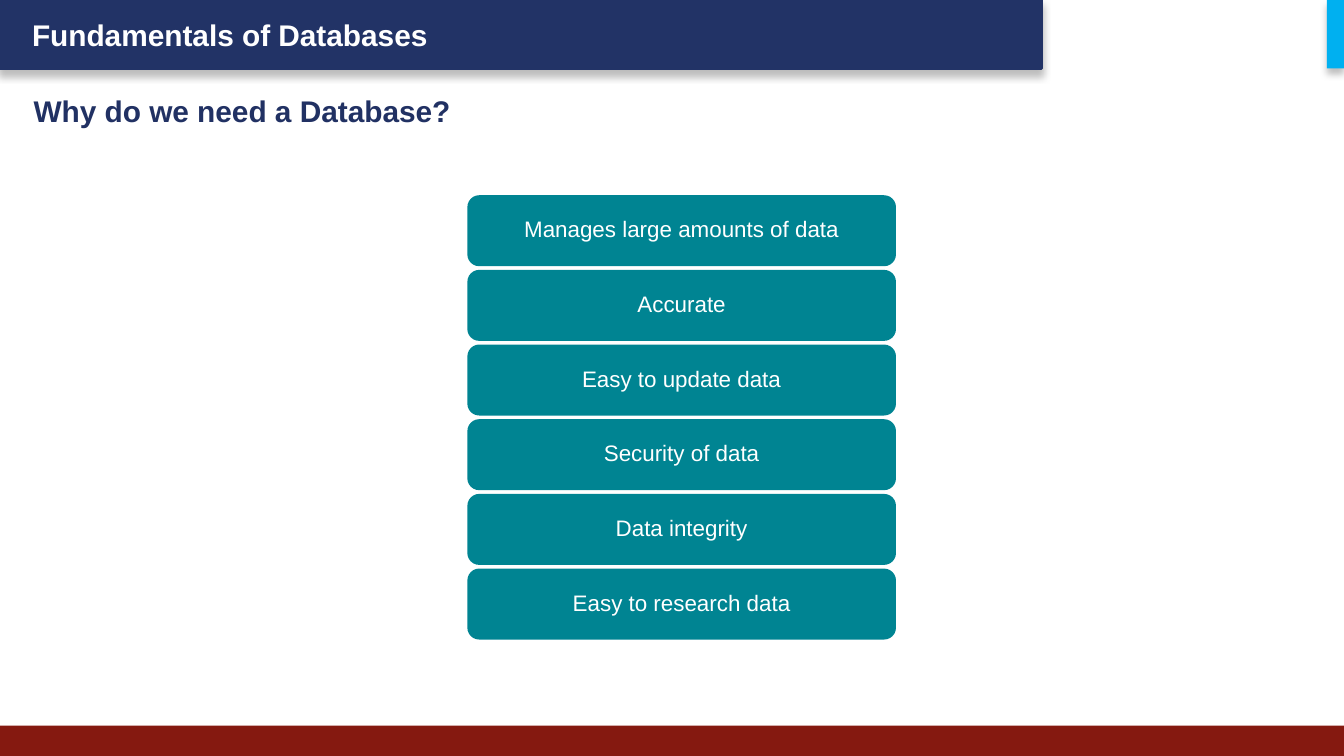
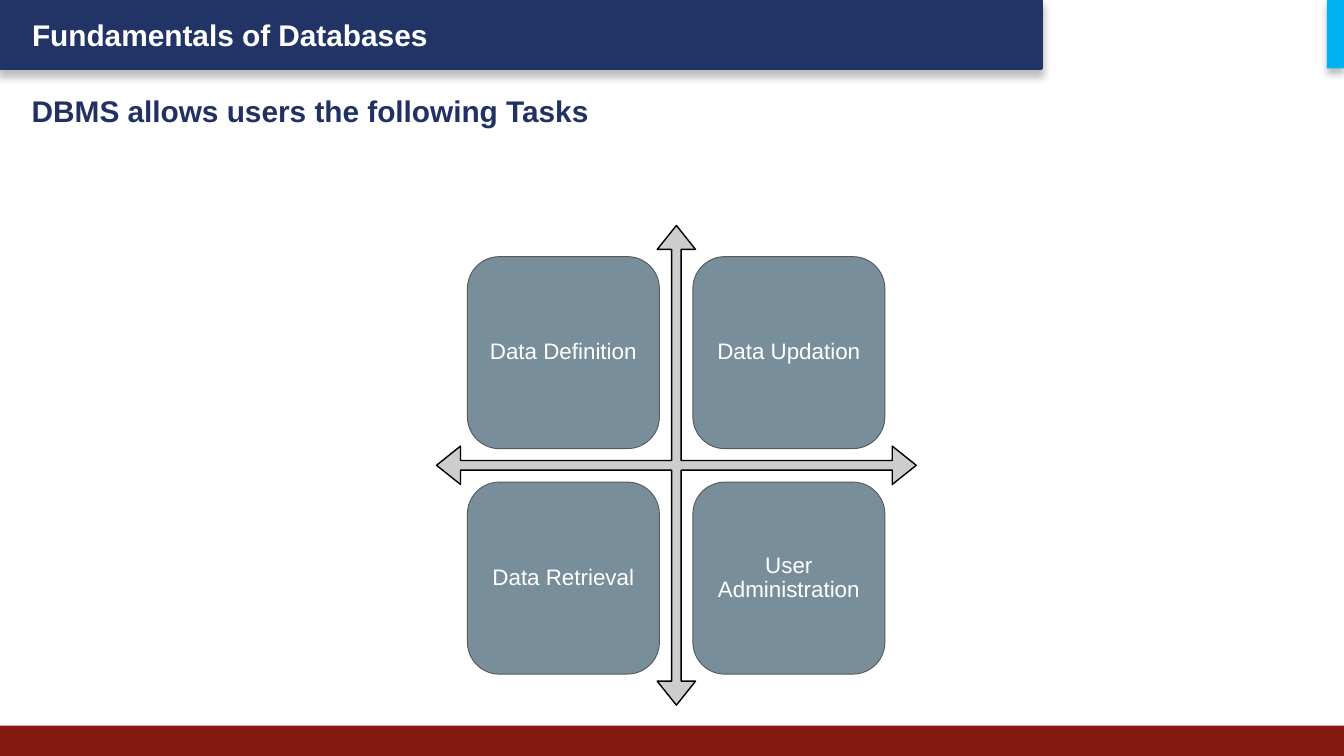
from dataclasses import dataclass

from lxml import etree
from pptx import Presentation
from pptx import util as u
from pptx.dml import color
from pptx.enum import shapes, text
from pptx.oxml import ns

Pt = u.Pt
SHAPE = shapes.MSO_SHAPE
COLORS = {
    "banner": "223366",
    "title": "213163",
    "footer": "851910",
    "accent": "00B0F0",
    "reason": "008492",
    "task": "788F9B",
    "task_line": "595959",
    "arrow": "CDCDCD",
    "black": "000000",
    "white": "FFFFFF",
}
HEADING = {"name": "Arial", "size": Pt(16), "bold": True}
BODY = {"name": "Arial", "size": Pt(12), "bold": False}
TITLE_FRAME = {
    "vertical_anchor": text.MSO_ANCHOR.TOP,
    "auto_size": text.MSO_AUTO_SIZE.NONE,
    "word_wrap": True,
}
CARD_FRAME = {
    "vertical_anchor": text.MSO_ANCHOR.MIDDLE,
    "word_wrap": True,
    "margin_left": Pt(3.6),
    "margin_right": Pt(3.6),
    "margin_top": Pt(3.6),
    "margin_bottom": Pt(3.6),
}
CARD_PARAGRAPH = {"alignment": text.PP_ALIGN.CENTER, "line_spacing": 0.9}


@dataclass(frozen=True)
class Box:
    """Position and size in points."""
    left: float
    top: float
    width: float
    height: float

    def lengths(self) -> list:
        return [Pt(v) for v in (self.left, self.top, self.width, self.height)]


@dataclass(frozen=True)
class Style:
    fill: str
    line: str | None = None
    line_width: float = 0
    shadow: bool = False


@dataclass(frozen=True)
class CardGrid:
    """Equal cards laid out row by row from the first one."""
    first: Box
    pitch: float
    columns: int
    style: Style
    labels: tuple[str, ...]


BANDS = (
    (Box(0, 0, 558, 36.7), Style("banner", "banner", 2, shadow=True)),
    (Box(0, 388.8, 720, 16.2), Style("footer")),
    (Box(710.8, 0, 9.2, 36.7), Style("accent", shadow=True)),
)
HEADER_BOX = Box(10.1, 5.3, 229, 26.6)
ARROW_BOX = Box(233.9, 120.8, 257, 257)
ARROW_ADJUSTMENTS = (0.02, 0.04, 0.05)

REASONS = CardGrid(
    Box(250.4, 104.6, 229.6, 38), 40, 1, Style("reason"),
    ("Manages large amounts of data", "Accurate", "Easy to update data",
     "Security of data", "Data integrity", "Easy to research data"),
)
TASKS = CardGrid(
    Box(250.4, 137.5, 102.9, 102.9), 120.8, 2, Style("task", "task_line", 0.5),
    ("Data Definition", "Data Updation", "Data Retrieval", "User Administration"),
)


def rgb(name: str) -> color.RGBColor:
    return color.RGBColor.from_string(COLORS[name])


def apply(target, values: dict) -> None:
    for name, value in values.items():
        setattr(target, name, value)


def write(tf, words: str, font: dict, color_name: str):
    p = tf.paragraphs[0]
    r = p.add_run()
    r.text = words
    apply(r.font, font)
    r.font.color.rgb = rgb(color_name)
    return p


def add_shadow(sp) -> None:
    effects = sp.element.spPr.find(ns.qn("a:effectLst"))
    shadow = etree.SubElement(
        effects, ns.qn("a:outerShdw"), blurRad=str(Pt(4)), dist=str(Pt(3)),
        dir="5400000", algn="t", rotWithShape="0")
    tint = etree.SubElement(shadow, ns.qn("a:srgbClr"), val=COLORS["black"])
    etree.SubElement(tint, ns.qn("a:alpha"), val="25000")


def add_shape(s, kind: SHAPE, box: Box, style: Style):
    sp = s.shapes.add_shape(kind, *box.lengths())
    sp.shadow.inherit = False
    sp.fill.solid()
    sp.fill.fore_color.rgb = rgb(style.fill)
    if style.line:
        sp.line.color.rgb = rgb(style.line)
        sp.line.width = Pt(style.line_width)
    else:
        sp.line.fill.background()
    if style.shadow:
        add_shadow(sp)
    return sp


def add_cards(s, grid: CardGrid) -> None:
    first = grid.first
    for i, label in enumerate(grid.labels):
        row, column = divmod(i, grid.columns)
        box = Box(first.left + column * grid.pitch, first.top + row * grid.pitch,
                  first.width, first.height)
        sp = add_shape(s, SHAPE.ROUNDED_RECTANGLE, box, grid.style)
        apply(sp.text_frame, CARD_FRAME)
        apply(write(sp.text_frame, label, BODY, "white"), CARD_PARAGRAPH)


def add_slide(prs, layout, title: str, box: Box):
    s = prs.slides.add_slide(layout)
    sp = s.shapes.title
    apply(sp, dict(zip(("left", "top", "width", "height"), box.lengths())))
    apply(sp.text_frame, TITLE_FRAME)
    p = write(sp.text_frame, title, HEADING, "title")
    p.alignment = text.PP_ALIGN.LEFT
    return s


def move_bands_to_layout(s, layout) -> None:
    """Draw the bands on a slide, then move them behind the layout's title."""
    for ph in list(layout.placeholders):
        if ph.placeholder_format.type != shapes.PP_PLACEHOLDER.TITLE:
            ph.element.getparent().remove(ph.element)
    parts = [add_shape(s, SHAPE.RECTANGLE, box, style) for box, style in BANDS]
    header = s.shapes.add_textbox(*HEADER_BOX.lengths())
    header.text_frame.word_wrap = False
    header.text_frame.auto_size = text.MSO_AUTO_SIZE.SHAPE_TO_FIT_TEXT
    write(header.text_frame, "Fundamentals of Databases", HEADING, "white")
    parts.append(header)
    title = next(iter(layout.placeholders)).element
    for sp in parts:
        title.addprevious(sp.element)


def main() -> None:
    prs = Presentation()
    prs.slide_width, prs.slide_height = Pt(720), Pt(405)
    layout = prs.slide_layouts.get_by_name("Title Only")

    s = add_slide(prs, layout, "Why do we need a Database?", Box(10.8, 46, 360, 26))
    move_bands_to_layout(s, layout)
    add_cards(s, REASONS)

    s = add_slide(prs, layout, "DBMS allows users the following Tasks",
                  Box(9.8, 46, 349, 38))
    arrow = add_shape(s, SHAPE.QUAD_ARROW, ARROW_BOX, Style("arrow", "black", 0.75))
    for i, value in enumerate(ARROW_ADJUSTMENTS):
        arrow.adjustments[i] = value
    add_cards(s, TASKS)

    prs.save("out.pptx")


if __name__ == "__main__":
    main()
